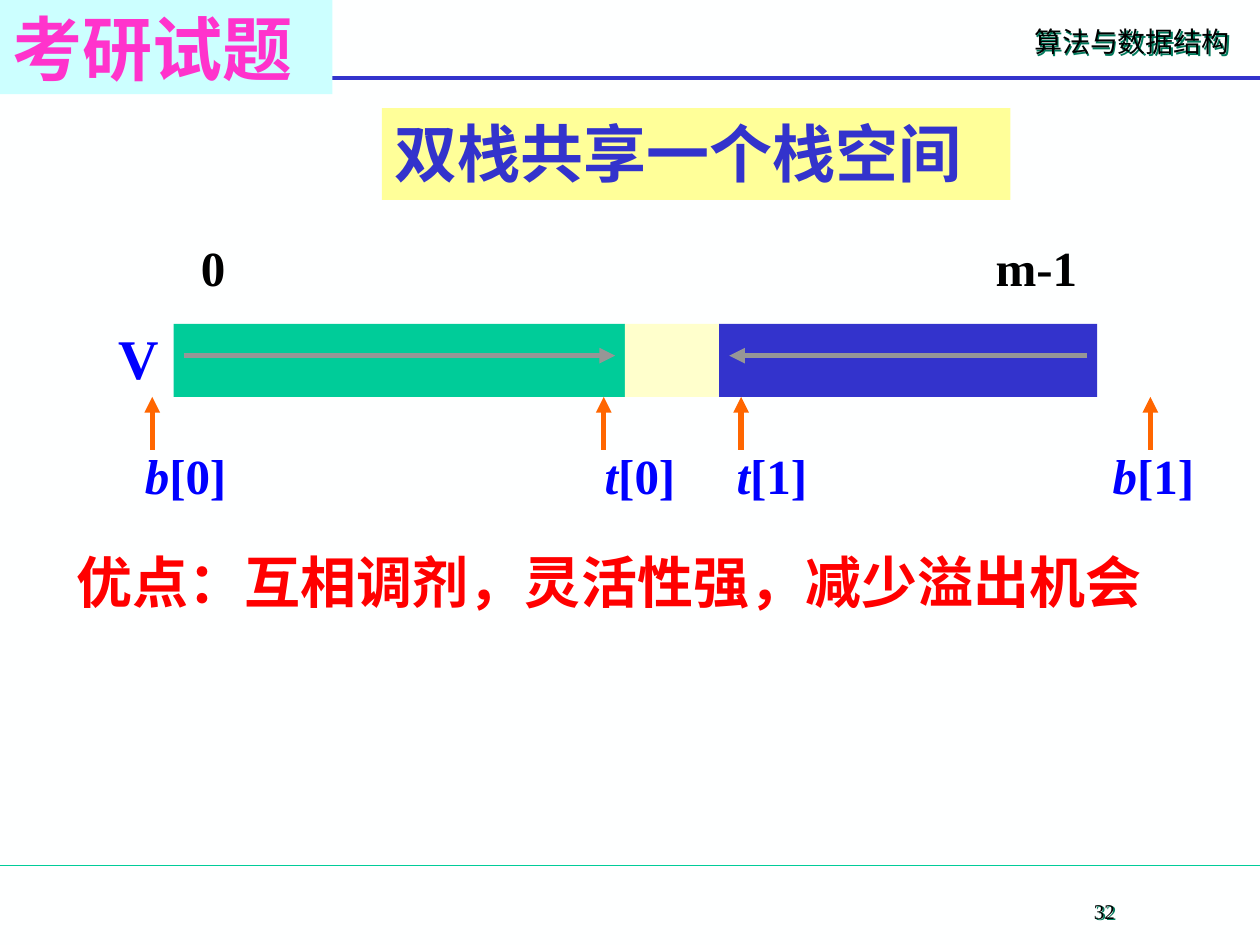
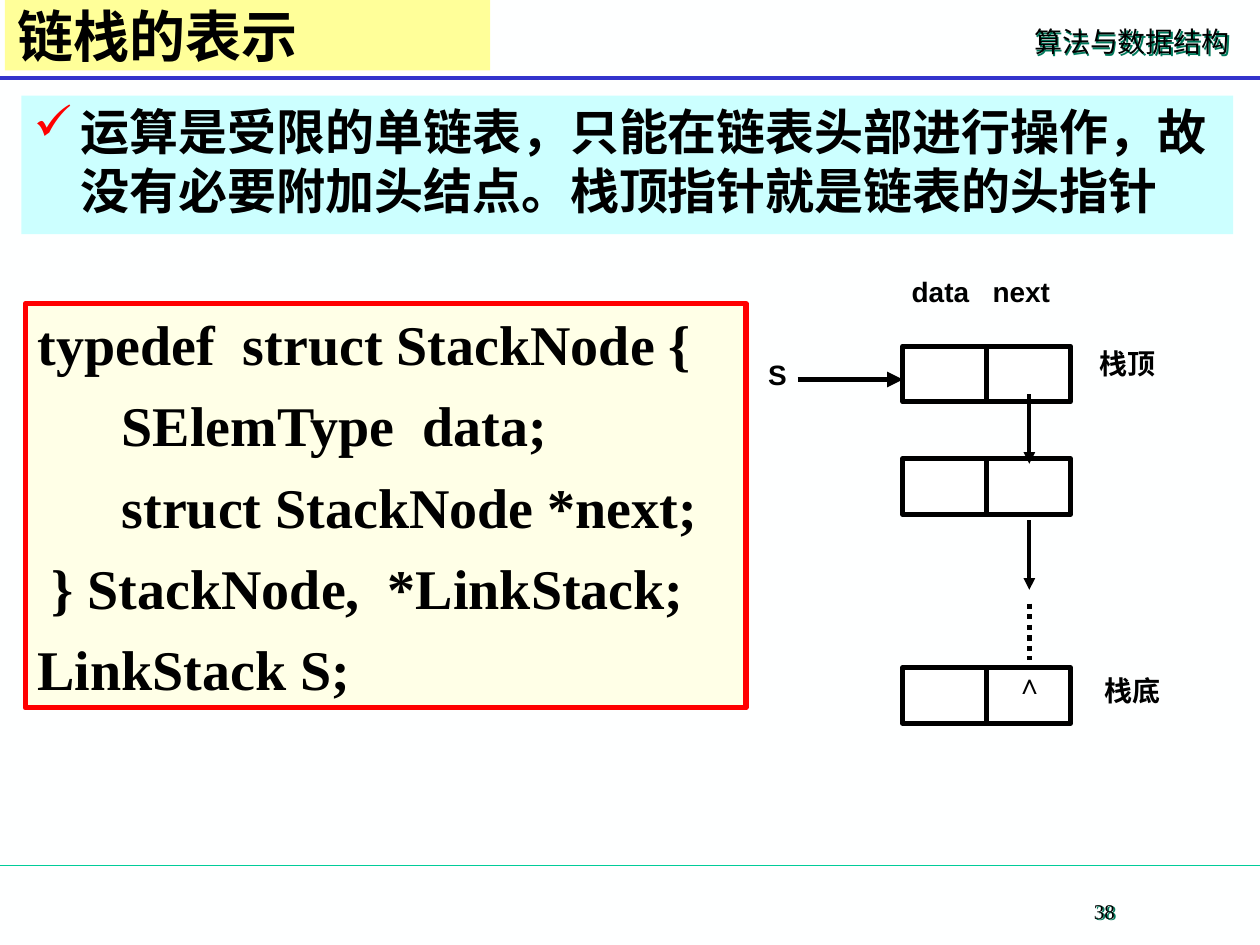
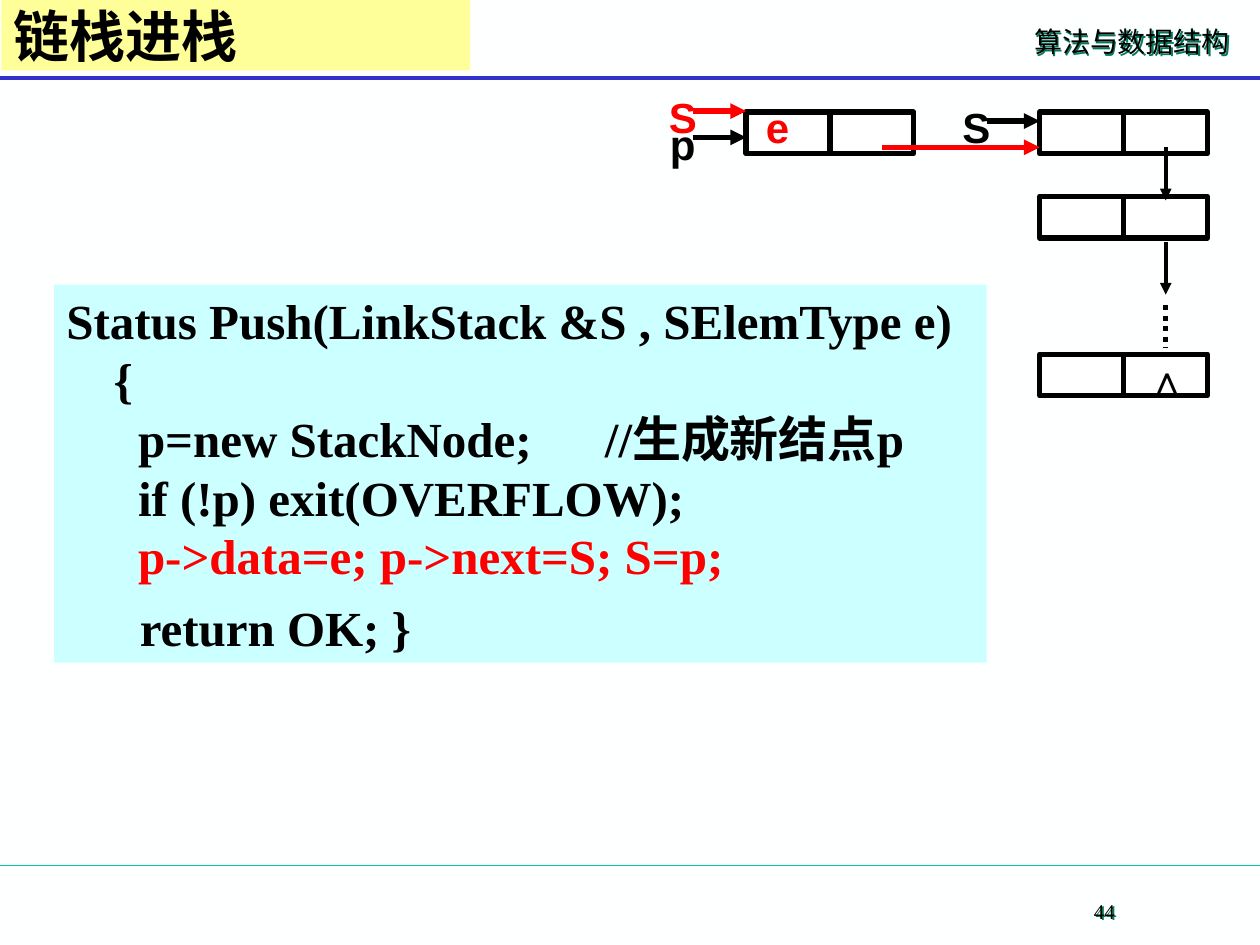
from copy import deepcopy
from lxml import etree
from pptx import Presentation
from pptx import util as u
from pptx.dml.color import RGBColor
from pptx.enum import dml, shapes, text
from pptx.oxml import parse_xml
from pptx.oxml.ns import qn

C = {"paper": "FEFFFF", "white": "FFFFFF", "black": "000000", "red": "FF0000",
     "green": "00CC99", "blue": "3333CC", "label": "0000FF", "orange": "FF6600",
     "gray": "969696", "cyan": "CCFFFF", "yellow": "FFFF99", "free": "FFFFCC",
     "cream": "FFFFE7", "pink": "FF33CC", "shadow": "007A5C"}
SERIF, SANS, CJK = "Times New Roman", "Arial", "Noto Sans CJK SC"
NS = 'xmlns:a="http://schemas.openxmlformats.org/drawingml/2006/main"'
CENTER = text.PP_ALIGN.CENTER


def box(s, x, y, w, h, content="", size=28, color="black", font=SERIF, bold=True,
        fill=None, border=None, align=None, middle=False, before=0, hang=0):
    area = [u.Cm(v) for v in (x, y, w, h)]
    if fill:
        sp = s.shapes.add_shape(shapes.MSO_SHAPE.RECTANGLE, *area)
        sp.shadow.inherit = False
        sp.fill.solid()
        sp.fill.fore_color.rgb = RGBColor.from_string(C[fill])
        if border:
            sp.line.color.rgb = RGBColor.from_string(C[border])
            sp.line.width = u.Pt(3)
        else:
            sp.line.fill.background()
    else:
        sp = s.shapes.add_textbox(*area)
    if not content:
        return sp
    tf = sp.text_frame
    tf.word_wrap = True
    tf.vertical_anchor = text.MSO_ANCHOR.MIDDLE if middle else text.MSO_ANCHOR.TOP
    tf.text = content
    for i, p in enumerate(tf.paragraphs):
        p.alignment = align or text.PP_ALIGN.LEFT
        if not middle:
            p.line_spacing = u.Pt(round(size * 1.2, 1))
        if i:
            p.space_before = u.Pt(before)
        if hang:
            pPr = p._p.get_or_add_pPr()
            pPr.set("marL", str(u.Cm(hang)))
            pPr.set("indent", str(-u.Cm(hang)))
        for r in p.runs:
            r.font.size = u.Pt(size)
            r.font.bold = bold
            r.font.color.rgb = RGBColor.from_string(C[color])
            r.font.name = font
            etree.SubElement(r._r.rPr, qn("a:ea")).set("typeface", CJK)
    return sp


def line(s, x1, y1, x2, y2, color="black", width=3, arrow=False, dash=None):
    cn = s.shapes.add_connector(shapes.MSO_CONNECTOR.STRAIGHT,
                                u.Cm(x1), u.Cm(y1), u.Cm(x2), u.Cm(y2))
    cn.line.color.rgb = RGBColor.from_string(C[color])
    cn.line.width = u.Pt(width)
    if dash:
        cn.line.dash_style = dash
    if arrow:
        etree.SubElement(cn.line._get_or_add_ln(), qn("a:tailEnd")).set("type", "triangle")
    etree.SubElement(cn._element.spPr, qn("a:effectLst"))


prs = Presentation()
prs.slide_width, prs.slide_height = u.Cm(25.4), u.Cm(19.05)

pages = [("32", "考研试题", 0, 6.7, 1.9, 40, "pink", "cyan"),
         ("38", "链栈的表示", 0.1, 9.78, 1.42, 32, "black", "yellow"),
         ("44", "链栈进栈", 0.03, 9.45, 1.42, 32, "black", "yellow")]
for number, title, x, w, h, size, color, fill in pages:
    s = prs.slides.add_slide(prs.slide_layouts[6])
    s.background.fill.solid()
    s.background.fill.fore_color.rgb = RGBColor.from_string(C["paper"])
    line(s, 0, 17.45, 25.4, 17.45, "green", 0.75)
    line(s, 0, 1.57, 25.4, 1.57, "blue", 2.25)
    course = box(s, 20.6, 0.38, 4.7, 0.94, "算法与数据结构", 16, bold=False)
    page = box(s, 20.55, 17.98, 3.43, 0.76, number, 12, bold=False, align=CENTER)
    for sp in (course, page):
        sp._element.spPr.append(parse_xml(
            f'<a:effectLst {NS}><a:outerShdw dist="18000" dir="2700000">'
            f'<a:srgbClr val="{C["shadow"]}"/></a:outerShdw></a:effectLst>'))
    box(s, x, 0, w, h, title, size, color, CJK, fill=fill, middle=True)
shared, linked, push = prs.slides

for x, w, fill in [(3.5, 9.1, "green"), (12.6, 1.9, "free"), (14.5, 7.62, "blue")]:
    box(shared, x, 6.53, w, 1.47, fill=fill)
line(shared, 3.7, 7.17, 12.4, 7.17, "gray", arrow=True)
line(shared, 21.92, 7.17, 14.7, 7.17, "gray", arrow=True)
pointers = [("b", "[0]", 2.67, 3.07), ("t", "[0]", 11.94, 12.17),
            ("t", "[1]", 14.6, 14.94), ("b", "[1]", 22.18, 23.19)]
for name, index, x, tip in pointers:
    line(shared, tip, 9.07, tip, 8, "orange", arrow=True)
    p = box(shared, x, 8.86, 2.5, 1.45, name, color="label").text_frame.paragraphs[0]
    p._p.append(deepcopy(p.runs[0]._r))
    p.runs[0].font.italic = True
    p.runs[1].text = index
box(shared, 3.8, 4.67, 1.5, 1.45, "0")
box(shared, 19.82, 4.67, 2.5, 1.45, "m-1")
box(shared, 2.13, 6.4, 1.4, 1.6, "V", 32, "label")
box(shared, 7.7, 2.18, 12.67, 1.85, "双栈共享一个栈空间", 36, "blue", fill="yellow")
box(shared, 1.3, 10.92, 22.66, 1.6, "优点：互相调剂，灵活性强，减少溢出机会", 32, "red")

note = box(linked, 0.43, 1.93, 24.43, 2.79,
           "运算是受限的单链表，只能在链表头部进行操作，故没有必要附加头结点。栈顶指针就是链表的头指针",
           fill="cyan", hang=0.95)
pPr = note.text_frame.paragraphs[0]._p.pPr
pPr.append(parse_xml(f'<a:buClr {NS}><a:srgbClr val="{C["red"]}"/></a:buClr>'))
pPr.append(parse_xml(f'<a:buChar {NS} char="✓"/>'))
box(linked, 0.51, 6.12, 14.53, 8.15,
    "typedef  struct StackNode {\n"
    "      SElemType  data;\n"
    "      struct StackNode *next;\n"
    " } StackNode,  *LinkStack;\n"
    "LinkStack S;",
    32, fill="cream", border="red", before=8, hang=0.95)

nodes = [(linked, 18.2, 6.98, 1.12), (linked, 18.2, 9.25, 1.12), (linked, 18.2, 13.46, 1.12),
         (push, 15.04, 2.26, 0.84), (push, 20.96, 2.26, 0.84),
         (push, 20.96, 3.96, 0.84), (push, 20.96, 7.14, 0.84)]
for s, x, y, h in nodes:
    box(s, x, y, 3.38, h, fill="white", border="black")
    line(s, x + 1.69, y, x + 1.69, y + h)

chains = [(linked, 20.75, (7.95, 9.35), (10.49, 11.89), (12.17, 13.31)),
          (push, 23.5, (2.97, 4.04), (4.88, 5.94), (6.15, 7.01))]
for s, x, first, second, rest in chains:
    for top, bottom in (first, second):
        line(s, x, top, x, bottom, width=2.25, arrow=True)
    line(s, x, rest[0], x, rest[1], dash=dml.MSO_LINE.ROUND_DOT)

arrows = [(linked, 16.08, 18.2, 7.65, "black"), (push, 13.97, 15.04, 2.77, "black"),
          (push, 19.89, 20.96, 2.44, "black"), (push, 17.78, 20.96, 2.97, "red"),
          (push, 13.97, 15.04, 2.24, "red")]
for s, x1, x2, y, color in arrows:
    line(s, x1, y, x2, y, color, arrow=True)

for label, x, y in [("data", 18.13, 5.41), ("next", 19.76, 5.41),
                    ("栈顶", 21.92, 6.86), ("栈底", 22.02, 13.46)]:
    box(linked, x, y, 2.2, 0.94, label, 16, font=SANS)
symbols = [(linked, "∧", 20.12, 13.31, 16, "black"), (linked, "S", 15.04, 7.09, 16, "black"),
           (push, "p", 13.13, 2.26, 24, "black"), (push, "∧", 22.86, 7.01, 24, "black"),
           (push, "S", 19.05, 1.93, 24, "black"), (push, "e", 15.04, 1.93, 24, "red"),
           (push, "S", 13.13, 1.73, 24, "red")]
for s, label, x, y, size, color in symbols:
    box(s, x, y, 1.27, size * 0.05, label, size, color, SANS, align=CENTER)

code = box(push, 1.09, 5.74, 18.8, 7.62,
           "Status Push(LinkStack &S , SElemType e)\v"
           "{\v"
           "  p=new StackNode;      //生成新结点p\v"
           "  if (!p) exit(OVERFLOW);\v"
           "  p->data=e; p->next=S; S=p;\n"
           "      return OK; }",
           fill="cyan", before=7, hang=0.95)
r = code.text_frame.paragraphs[0].runs[-1]
r.font.color.rgb = RGBColor.from_string(C["red"])

prs.save("out.pptx")
